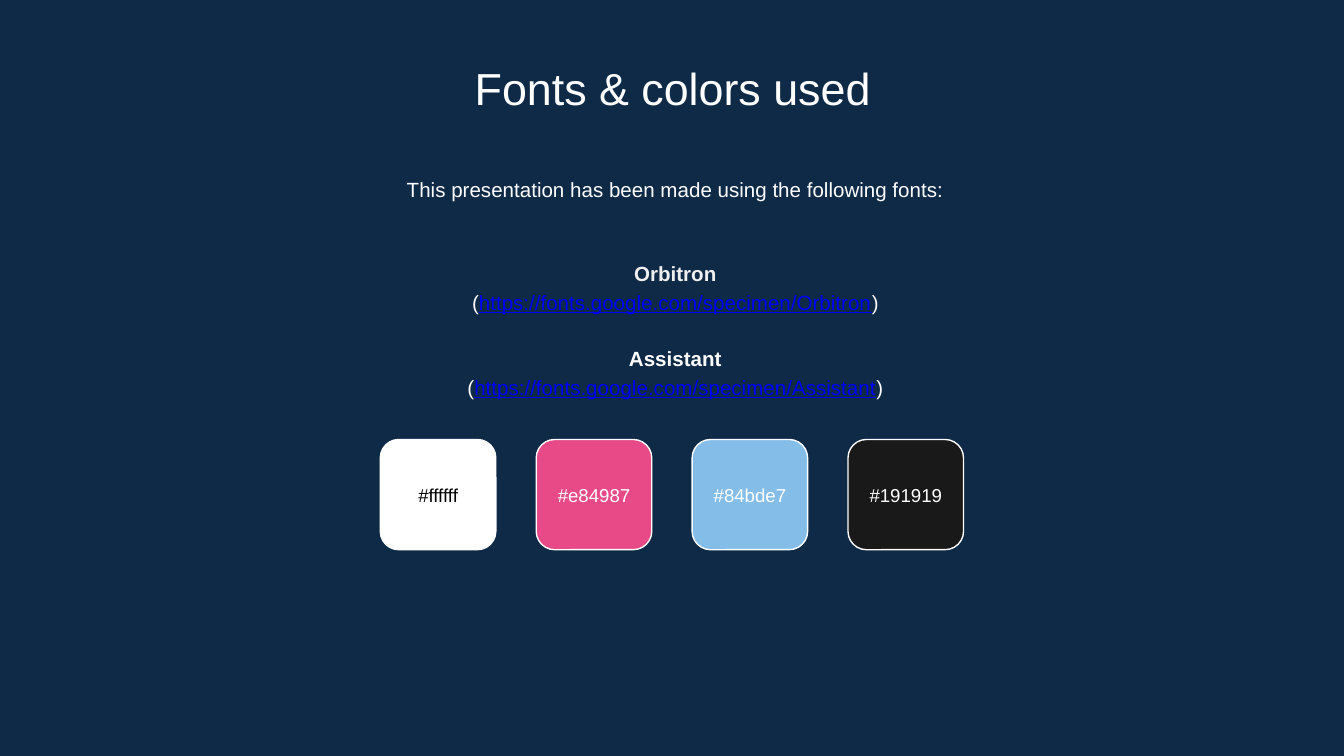
from dataclasses import dataclass

from pptx import Presentation
from pptx.dml.color import RGBColor as RGB
from pptx.enum.shapes import MSO_SHAPE as Shape
from pptx.enum.text import MSO_ANCHOR as Anchor, MSO_AUTO_SIZE as AutoSize, PP_ALIGN as Align
from pptx.oxml.ns import qn
from pptx.util import Inches, Pt


@dataclass(frozen=True)
class Theme:
    font: str = "Arial"
    background: str = "0E2A47"
    text: str = "FFFFFF"
    dark_text: str = "000000"
    soft_text: str = "EFEFEF"
    link: str = "0000FF"
    title_size: int = 24
    body_size: int = 11
    label_size: int = 10
    line_spacing: float = 1.15


class SlideBuilder:
    def __init__(self, slide, theme):
        self.slide = slide
        self.theme = theme
        slide.background.fill.solid()
        slide.background.fill.fore_color.rgb = RGB.from_string(theme.background)

    def place(self, shape, left, top, width, height):
        shape.left, shape.top = Inches(left), Inches(top)
        shape.width, shape.height = Inches(width), Inches(height)

    def format_frame(self, frame, anchor):
        frame.word_wrap = True
        frame.auto_size = AutoSize.NONE
        frame.vertical_anchor = anchor
        frame.margin_left = frame.margin_right = Inches(0.1)
        frame.margin_top = frame.margin_bottom = Inches(0.1)

    def format_run(self, run, size, color, bold=False, underline=False):
        font = run.font
        font.name, font.size = self.theme.font, Pt(size)
        font.bold, font.underline = bold, underline
        font.color.rgb = RGB.from_string(color)

    def fill_text(self, shape, text, size, color, anchor=Anchor.TOP, line_spacing=1.0):
        frame = shape.text_frame
        frame.text = text
        self.format_frame(frame, anchor)
        paragraph = frame.paragraphs[0]
        paragraph.alignment = Align.CENTER
        paragraph.line_spacing = line_spacing
        self.format_run(paragraph.runs[0], size, color)

    def title(self, text, *box):
        shape = self.slide.shapes.title
        self.place(shape, *box)
        self.fill_text(shape, text, self.theme.title_size, self.theme.text)

    def text_box(self, text, *box):
        shape = self.slide.shapes.add_textbox(*map(Inches, box))
        self.fill_text(shape, text, self.theme.body_size, self.theme.text,
                       line_spacing=self.theme.line_spacing)

    def body_paragraph(self, paragraph, pieces, space_before=0):
        properties = paragraph._p.get_or_add_pPr()
        properties.set("marL", "0")
        properties.set("indent", "0")
        properties.append(properties.makeelement(qn("a:buNone"), {}))
        paragraph.alignment = Align.CENTER
        paragraph.line_spacing = self.theme.line_spacing
        paragraph.space_before = Pt(space_before)
        for text, color, bold, underline in pieces:
            run = paragraph.add_run()
            run.text = text
            self.format_run(run, self.theme.body_size, color, bold, underline)

    def font_list(self, fonts, *box):
        theme = self.theme
        shape = self.slide.placeholders[1]
        self.place(shape, *box)
        frame = shape.text_frame
        self.format_frame(frame, Anchor.MIDDLE)
        for index, (name, color, address) in enumerate(fonts):
            heading = frame.add_paragraph() if index else frame.paragraphs[0]
            self.body_paragraph(heading, [(name, color, True, False)], 15.2 if index else 0)
            self.body_paragraph(frame.add_paragraph(), [
                ("(", theme.text, False, False),
                (address, theme.link, False, True),
                (")", theme.text, False, False),
            ])

    def swatch(self, group, color, label_color, left, top, width, height):
        card = group.shapes.add_shape(Shape.ROUNDED_RECTANGLE,
                                      *map(Inches, (left, top, width, height)))
        card.shadow.inherit = False
        card.fill.solid()
        card.fill.fore_color.rgb = RGB.from_string(color.upper())
        card.line.color.rgb = RGB.from_string(self.theme.text)
        card.line.width = Pt(0.75)
        label_height = 0.48
        label_top = top + (height - label_height) / 2
        label = group.shapes.add_textbox(*map(Inches, (left, label_top, width, label_height)))
        self.fill_text(label, f"#{color}", self.theme.label_size, label_color, Anchor.MIDDLE)

    def palette(self, swatches, left, top, width, height, pitch):
        group = self.slide.shapes.add_group_shape()
        for index, (color, label_color) in enumerate(swatches):
            self.swatch(group, color, label_color, left + index * pitch, top, width, height)


def main():
    presentation = Presentation()
    presentation.slide_width = Inches(10)
    presentation.slide_height = Inches(10 * 9 / 16)
    theme = Theme()
    slide = presentation.slides.add_slide(presentation.slide_layouts[1])
    builder = SlideBuilder(slide, theme)

    # Heading and introduction
    builder.title("Fonts & colors used", 1.15, 0.35, 7.71, 0.53)
    builder.text_box("This presentation has been made using the following fonts:",
                     1.17, 1.19, 7.71, 0.48)

    # Fonts with their addresses
    builder.font_list([
        ("Orbitron", theme.soft_text, "https://fonts.google.com/specimen/Orbitron"),
        ("Assistant", theme.text, "https://fonts.google.com/specimen/Assistant"),
    ], 1.17, 1.76, 7.71, 1.37)

    # Color swatches
    builder.palette([
        ("ffffff", theme.dark_text),
        ("e84987", theme.text),
        ("84bde7", theme.text),
        ("191919", theme.text),
    ], left=2.83, top=3.27, width=0.86, height=0.82, pitch=1.16)

    presentation.save("out.pptx")


if __name__ == "__main__":
    main()
